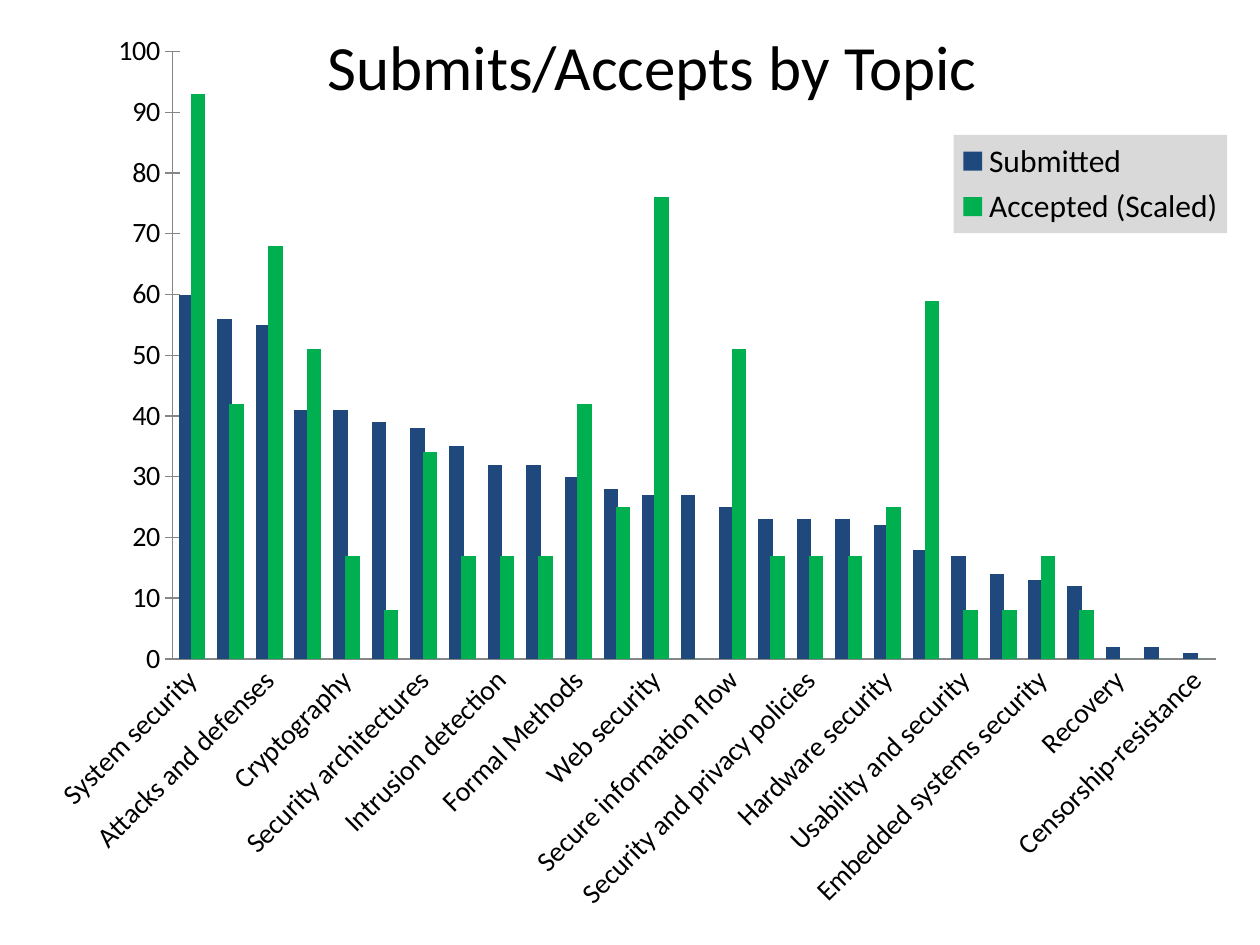
import lxml.etree
import pptx
import pptx.chart.data
import pptx.dml.color
import pptx.enum.chart
import pptx.enum.text
import pptx.oxml
import pptx.oxml.ns
import pptx.util

Inches, Pt, qn = pptx.util.Inches, pptx.util.Pt, pptx.oxml.ns.qn
NS = pptx.oxml.ns.nsdecls("c", "a")

COLORS = {"text": "000000", "paper": "FFFFFF", "submitted": "1F497D",
          "accepted": "00B050", "axis": "868686", "legend": "D9D9D9"}

# Topic, submitted, accepted (scaled)
TOPICS = [
    ("System security", 60, 93), ("Network security", 56, 42),
    ("Attacks and defenses", 55, 68), ("Application security", 41, 51),
    ("Cryptography", 41, 17), ("Privacy-preserving systems", 39, 8),
    ("Security architectures", 38, 34), ("Protocol security", 35, 17),
    ("Intrusion detection", 32, 17), ("Access control", 32, 17),
    ("Formal Methods", 30, 42), ("Malware", 28, 25),
    ("Web security", 27, 76), ("Distributed systems security", 27, 0),
    ("Secure information flow", 25, 51), ("Authentication", 23, 17),
    ("Security and privacy policies", 23, 17), ("Anonymity", 23, 17),
    ("Hardware security", 22, 25), ("Language-based security", 18, 59),
    ("Usability and security", 17, 8), ("Forensics", 14, 8),
    ("Embedded systems security", 13, 17), ("Metrics", 12, 8),
    ("Recovery", 2, 0), ("None", 2, 0), ("Censorship-resistance", 1, 0),
]
CHART_BOX = (0.25, 0.13, 9.58, 7.24)
PLOT_BOX = (1.37, 0.41, 8.28, 4.82)
LEGEND_BOX = (7.57, 1.07, 2.17, 0.78)


def rgb(name):
    return pptx.dml.color.RGBColor.from_string(COLORS[name])


def layout_xml(box, inner=False):
    """Manual layout for a box in slide inches, as fractions of the chart."""
    left, top, width, height = CHART_BOX
    parts = {"x": (box[0] - left) / width, "y": (box[1] - top) / height,
             "w": box[2] / width, "h": box[3] / height}
    target = '<c:layoutTarget val="inner"/>' if inner else ""
    modes = '<c:xMode val="edge"/><c:yMode val="edge"/>'
    sizes = "".join(f'<c:{k} val="{v:.4f}"/>' for k, v in parts.items())
    return pptx.oxml.parse_xml(f"<c:layout {NS}><c:manualLayout>{target}{modes}"
                               f"{sizes}</c:manualLayout></c:layout>")


class SlideBuilder:
    font = "Calibri"

    def __init__(self, slide):
        self.s = slide

    def style(self, font, size):
        font.name, font.size = self.font, Pt(size)
        font.color.rgb = rgb("text")

    def axis(self, axis, tick):
        axis.has_major_gridlines = False
        axis.major_tick_mark = tick
        axis.minor_tick_mark = pptx.enum.chart.XL_TICK_MARK.NONE
        axis.format.line.color.rgb = rgb("axis")
        axis.format.line.width = Pt(0.75)
        self.style(axis.tick_labels.font, 16)

    def legend(self, chart):
        chart.has_legend = True
        legend = chart.legend
        legend.position = pptx.enum.chart.XL_LEGEND_POSITION.CORNER
        legend.include_in_layout = False
        self.style(legend.font, 18)
        node = chart._chartSpace.find(".//" + qn("c:legend"))
        for old in node.findall(qn("c:layout")):
            node.remove(old)
        node.find(qn("c:legendPos")).addnext(layout_xml(LEGEND_BOX))
        overlay = node.find(qn("c:overlay"))
        overlay.set("val", "1")
        overlay.addnext(pptx.oxml.parse_xml(
            f'<c:spPr {NS}><a:solidFill><a:srgbClr val="{COLORS["legend"]}"/>'
            "</a:solidFill></c:spPr>"))

    def column_chart(self):
        data = pptx.chart.data.CategoryChartData()
        data.categories, submitted, accepted = zip(*TOPICS)
        data.add_series("Submitted", submitted)
        data.add_series("Accepted (Scaled)", accepted)
        chart = self.s.shapes.add_chart(
            pptx.enum.chart.XL_CHART_TYPE.COLUMN_CLUSTERED,
            *map(Inches, CHART_BOX), data).chart
        chart.has_title = False
        self.style(chart.font, 10)

        # Columns
        plot = chart.plots[0]
        plot.gap_width, plot.overlap, plot.vary_by_categories = 82, 16, False
        for series, color in zip(plot.series, ("submitted", "accepted")):
            series.format.fill.solid()
            series.format.fill.fore_color.rgb = rgb(color)

        # Axes: slanted names, every second topic labelled
        ticks = pptx.enum.chart.XL_TICK_MARK
        self.axis(chart.category_axis, ticks.NONE)
        self.axis(chart.value_axis, ticks.CROSS)
        chart.value_axis.minimum_scale = 0
        chart.value_axis.maximum_scale = 100
        chart.value_axis.major_unit = 10
        cat = chart._chartSpace.find(".//" + qn("c:catAx"))
        body = cat.find(qn("c:txPr")).find(qn("a:bodyPr"))
        body.set("rot", "-2700000")
        body.set("vert", "horz")
        cat.find(qn("c:lblOffset")).addnext(
            pptx.oxml.parse_xml(f'<c:tickLblSkip {NS} val="2"/>'))

        # Plot position
        area = chart._chartSpace.find(".//" + qn("c:plotArea"))
        for old in area.findall(qn("c:layout")):
            area.remove(old)
        area.insert(0, layout_xml(PLOT_BOX, inner=True))
        self.legend(chart)

    def title(self, text, box):
        sp = self.s.shapes.add_textbox(*map(Inches, box))
        sp.fill.solid()
        sp.fill.fore_color.rgb = rgb("paper")
        tf = sp.text_frame
        tf.word_wrap = False
        tf.auto_size = pptx.enum.text.MSO_AUTO_SIZE.SHAPE_TO_FIT_TEXT
        r = tf.paragraphs[0].add_run()
        r.text = text
        self.style(r.font, 36)


def main():
    prs = pptx.Presentation()
    prs.slide_width, prs.slide_height = Inches(10), Inches(7.5)
    builder = SlideBuilder(prs.slides.add_slide(prs.slide_layouts[6]))
    builder.column_chart()
    builder.title("Submits/Accepts by Topic", (2.5, 0.17, 5.4, 0.71))
    prs.save("out.pptx")


if __name__ == "__main__":
    main()
